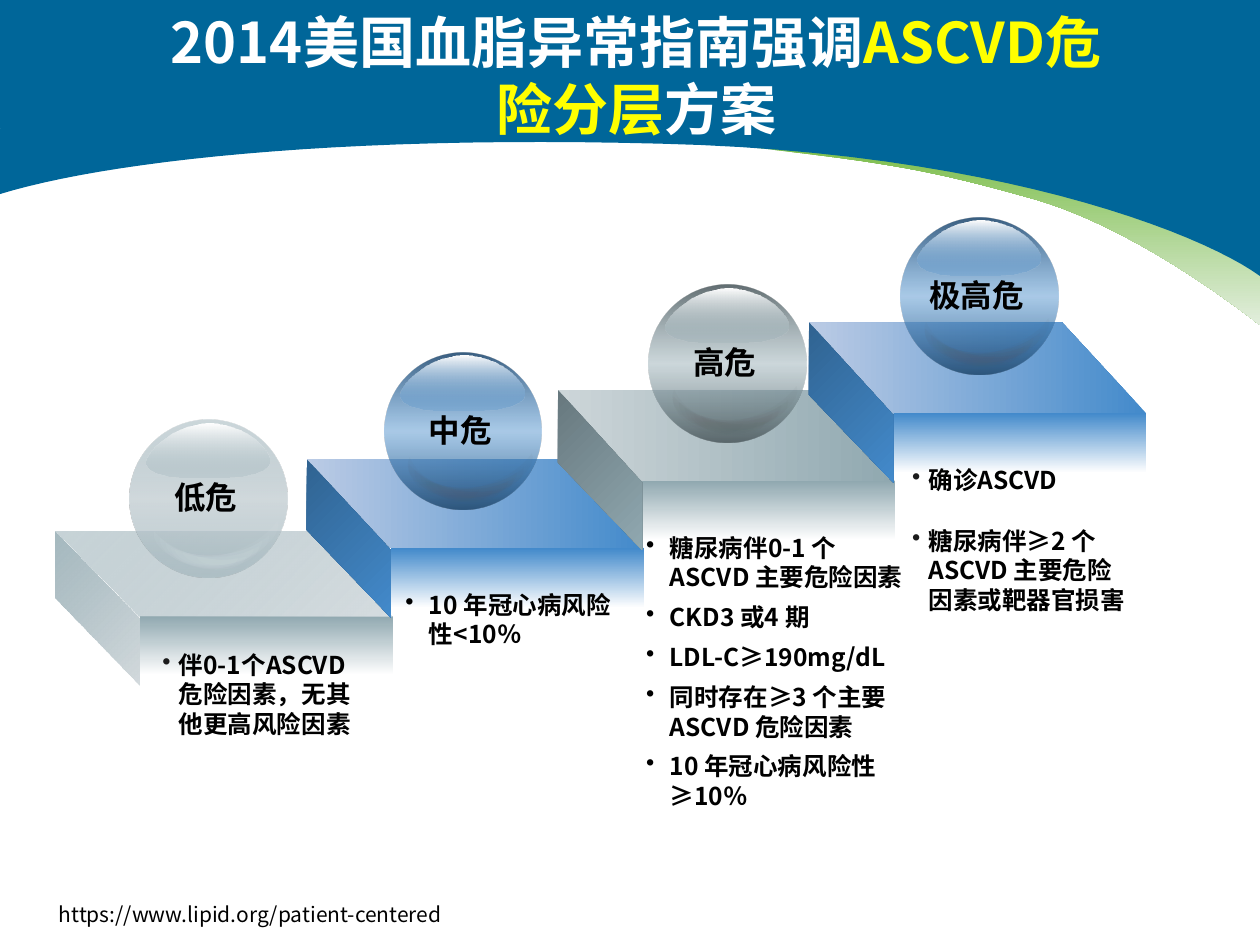
from dataclasses import dataclass

from lxml import etree
from pptx import Presentation
from pptx.dml.color import RGBColor
from pptx.enum.shapes import MSO_SHAPE
from pptx.enum.text import MSO_ANCHOR, PP_ALIGN
from pptx.oxml.ns import qn
from pptx.util import Pt

FONT = "Noto Sans CJK SC"
COLORS = {
    "header": "006699", "green": "7DBE4C", "pale_green": "E2EEDD",
    "white": "FFFFFF", "black": "000000", "yellow": "FFFF00",
    "bullet": "1C1C1C", "shade": "5F5F5F",
    "blue": "438ACB", "pale_blue": "BBCBE5", "mid_blue": "306391", "navy": "254D72",
    "gray": "90A8B0", "pale_gray": "CDD6D9", "mid_gray": "67787E", "slate": "515E62",
    "mist": "CCD5D9", "haze": "D3DADD",
}
STEP_X, STEP_Y = 143.5, -38.6
FRONT_X, FRONT_Y, FRONT_W, FRONT_H = 80, 352, 144.5, 34
SLANT = 48.2
BALL = 90

# A pair is a straight segment, six numbers are a cubic curve.
GREEN_ARC = [(429, 84.2), (506.2, 92.9, 532.8, 97.2, 593.3, 114.5),
             (653, 132.5, 714.2, 181.4, 720, 185.8), (720, 140.4),
             (692.6, 124.6, 601.2, 97.9, 553, 88.6)]
BLUE_ARC = [(0, 110.9), (58.3, 92.9, 188.6, 77, 377.3, 82.1),
            (565.9, 86.4, 685.4, 132.5, 720, 157.7), (720, 42.5),
            (658.8, 18, 474.5, 5.8, 355, 10.8), (224.6, 14.4, 56.2, 54, 0, 73.4)]
GLARE = [(0, 22.3), (0, 15.1, 17.3, 0, 36, 0), (56.2, 0, 70.6, 14.4, 70.6, 21.6),
         (70.6, 28.1, 54, 31, 43.2, 31), (25.9, 31), (14.4, 31, 0, 28.8, 0, 22.3)]
# Offset from the sphere, width, height, rotation
MOONS = [(57.6, 48.2, 12.2, 50.4, 246.1), (49.7, 51.1, 12.2, 50.4, 259.7),
         (45, 51.8, 12.2, 50.4, 264.6), (39.2, 52.6, 12.2, 50.4, 273.5),
         (42.8, 53.3, 12.2, 50.4, 268.7), (34.6, 53.3, 12.2, 50.4, 282.2),
         (30.2, 51.8, 12.2, 50.4, 287.2), (23.8, 54, 14.4, 43.9, 296)]


@dataclass
class Gradient:
    stops: list  # (position %, colour name, opacity %)
    angle: int


@dataclass
class Style:
    base: str
    top: Gradient
    side: Gradient
    ball: Gradient
    moon: str = "shade"
    moons: int = 8


@dataclass
class Notes:
    left: float
    top: float
    width: float
    height: float
    items: list
    indent: float = 13.5
    gap: float = 6
    bullet: str = "black"


@dataclass
class Tier:
    label: str
    style: Style
    ball_x: float
    top_h: float
    notes: Notes


def ball_gradient(rim: str, middle: str, rim_a: int, mid_a: int) -> Gradient:
    return Gradient([(0, rim, rim_a), (50, middle, mid_a), (100, rim, rim_a)], 90)


def two_tone(start: str, end: str, angle: int, a1: int = 100, a2: int = 100) -> Gradient:
    return Gradient([(0, start, a1), (100, end, a2)], angle)


PALE = Style("gray", two_tone("mist", "gray", 315, 82, 50), two_tone("gray", "haze", 45, 80),
             ball_gradient("gray", "mist", 45, 90), "white", 7)
BLUE = Style("blue", two_tone("blue", "pale_blue", 0), two_tone("mid_blue", "blue", 45),
             ball_gradient("navy", "blue", 90, 45))
GRAY = Style("gray", two_tone("gray", "pale_gray", 0), two_tone("mid_gray", "gray", 45),
             ball_gradient("slate", "gray", 90, 45))

TIERS = [
    Tier("低危", PALE, 74.2, 48.5, Notes(
        85.7, 367.9, 133.2, 77.8, ["伴0-1个ASCVD 危险因素，无其他更高风险因素"],
        9.4, 0, "bullet")),
    Tier("中危", BLUE, 219.6, 51, Notes(
        224.6, 333.4, 136.8, 57.6, ["10 年冠心病风险性<10％"])),
    Tier("高危", GRAY, 370.8, 52, Notes(
        362.2, 301, 163.4, 184.3,
        ["糖尿病伴0-1 个ASCVD 主要危险因素", "CKD3 或4 期", "LDL-C≥190mg/dL",
         "同时存在≥3 个主要ASCVD 危险因素", "10 年冠心病风险性≥10％"])),
    Tier("极高危", BLUE, 514.8, 52, Notes(
        514.1, 262.1, 139, 93.6, ["确诊ASCVD", "糖尿病伴≥2 个ASCVD 主要危险因素或靶器官损害"],
        9.4, 18, "bullet")),
]


def rgb(name: str) -> RGBColor:
    return RGBColor.from_string(COLORS[name])


def set_alpha(clr, percent: int) -> None:
    if percent < 100:
        etree.SubElement(clr, qn("a:alpha"), val=str(percent * 1000))


def paint(sp, fill, opacity: int = 100):
    """Fill with a colour name or a Gradient; drop outline and shadow."""
    sp.shadow.inherit = False
    sp.line.fill.background()
    if isinstance(fill, str):
        sp.fill.solid()
        sp.fill.fore_color.rgb = rgb(fill)
        set_alpha(sp._element.spPr.find(".//" + qn("a:srgbClr")), opacity)
        return sp
    sp.fill.gradient()
    sp.fill.gradient_angle = (360 - fill.angle) % 360
    stops = sp._element.spPr.find(".//" + qn("a:gsLst"))
    for gs in list(stops):
        stops.remove(gs)
    for pos, name, alpha in fill.stops:
        gs = etree.SubElement(stops, qn("a:gs"), pos=str(pos * 1000))
        set_alpha(etree.SubElement(gs, qn("a:srgbClr"), val=COLORS[name]), alpha)
    return sp


def add_preset(s, kind, x: float, y: float, w: float, h: float, fill, opacity: int = 100):
    return paint(s.shapes.add_shape(kind, Pt(x), Pt(y), Pt(w), Pt(h)), fill, opacity)


def add_outline(s, outline: list, fill, dx: float = 0, dy: float = 0):
    """Closed outline; cubic curves are drawn as 24 short lines."""
    pts = [outline[0]]
    for seg in outline[1:]:
        if len(seg) == 2:
            pts.append(seg)
            continue
        p0, p1, p2, p3 = pts[-1], seg[:2], seg[2:4], seg[4:]
        for t in (i / 24 for i in range(1, 25)):
            u = 1 - t
            pts.append(tuple(u**3 * a + 3 * u * u * t * b + 3 * u * t * t * c + t**3 * d
                             for a, b, c, d in zip(p0, p1, p2, p3)))
    pts = [(Pt(x + dx), Pt(y + dy)) for x, y in pts]
    builder = s.shapes.build_freeform(*pts[0], scale=1.0)
    builder.add_line_segments(pts[1:], close=True)
    return paint(builder.convert_to_shape(), fill)


def add_text_frame(s, x: float, y: float, w: float, h: float, wrap: bool = True):
    tf = s.shapes.add_textbox(Pt(x), Pt(y), Pt(w), Pt(h)).text_frame
    tf.word_wrap = wrap
    return tf


def add_run(p, text: str, size: float, color: str = "black", bold: bool = True) -> None:
    r = p.add_run()
    r.text = text
    r.font.size, r.font.bold, r.font.name = Pt(size), bold, FONT
    r.font.color.rgb = rgb(color)
    etree.SubElement(r._r.get_or_add_rPr(), qn("a:ea"), typeface=FONT)


def add_notes(s, n: Notes) -> None:
    tf = add_text_frame(s, n.left, n.top, n.width, n.height)
    for i, item in enumerate(n.items):
        p = tf.add_paragraph() if i else tf.paragraphs[0]
        pPr = p._p.get_or_add_pPr()
        pPr.set("marL", str(Pt(n.indent)))
        pPr.set("indent", str(-Pt(n.indent)))
        bu_clr = etree.SubElement(pPr, qn("a:buClr"))
        etree.SubElement(bu_clr, qn("a:srgbClr"), val=COLORS[n.bullet])
        etree.SubElement(pPr, qn("a:buChar"), char="•")
        if i:
            p.space_before = Pt(n.gap)
        add_run(p, item, 14)


def add_ball(s, x: float, y: float, label: str, style: Style) -> None:
    add_preset(s, MSO_SHAPE.OVAL, x, y, BALL, BALL, style.ball)
    add_outline(s, GLARE, two_tone("white", style.base, 90, 100, 18), x + 9.4, y + 2)
    p = add_text_frame(s, x + 5.5, y + 29.9, 75.6, 28.8).paragraphs[0]
    p.alignment = PP_ALIGN.CENTER
    add_run(p, label, 18)
    for dx, dy, w, h, angle in MOONS[:style.moons]:
        moon = add_preset(s, MSO_SHAPE.MOON, x + dx, y + dy, w, h, style.moon, 4)
        moon.adjustments[0] = 0.5
        moon.rotation = angle


def add_tier(s, i: int, tier: Tier) -> None:
    x, y, h = FRONT_X + i * STEP_X, FRONT_Y + i * STEP_Y, tier.top_h
    style = tier.style
    add_preset(s, MSO_SHAPE.RECTANGLE, x, y, FRONT_W, FRONT_H, two_tone(style.base, "white", 90))
    top = add_preset(s, MSO_SHAPE.PARALLELOGRAM, x - SLANT, y - h, FRONT_W + SLANT, h, style.top)
    top.adjustments[0] = SLANT / h
    top._element.spPr.find(qn("a:xfrm")).set("flipH", "1")
    add_outline(s, [(-SLANT, -h), (0, 1), (0, 39.5), (-SLANT, -10.5)], style.side, x, y)
    add_ball(s, tier.ball_x, y - 112, tier.label, style)


def add_header(s) -> None:
    add_outline(s, GREEN_ARC, two_tone("green", "pale_green", 90))
    add_outline(s, BLUE_ARC, "header")
    add_preset(s, MSO_SHAPE.RECTANGLE, 0, 0, 720, 73.4, "header")
    tf = add_text_frame(s, 85.7, 20.2, 555.8, 44.6)
    tf.vertical_anchor = MSO_ANCHOR.MIDDLE
    p = tf.paragraphs[0]
    p.alignment = PP_ALIGN.CENTER
    for text, color in (("2014美国血脂异常指南强调", "white"), ("ASCVD危险分层", "yellow"),
                        ("方案", "white")):
        add_run(p, text, 32, color)


def main() -> None:
    prs = Presentation()
    prs.slide_width, prs.slide_height = Pt(720), Pt(540)
    s = prs.slides.add_slide(prs.slide_layouts[6])
    add_header(s)
    for i, tier in enumerate(TIERS):
        add_tier(s, i, tier)
    for tier in TIERS:
        add_notes(s, tier.notes)
    source = add_text_frame(s, 26.6, 511.9, 237.6, 21.6, wrap=False)
    add_run(source.paragraphs[0], "https://www.lipid.org/patient-centered", 12, bold=False)
    prs.save("out.pptx")


if __name__ == "__main__":
    main()
